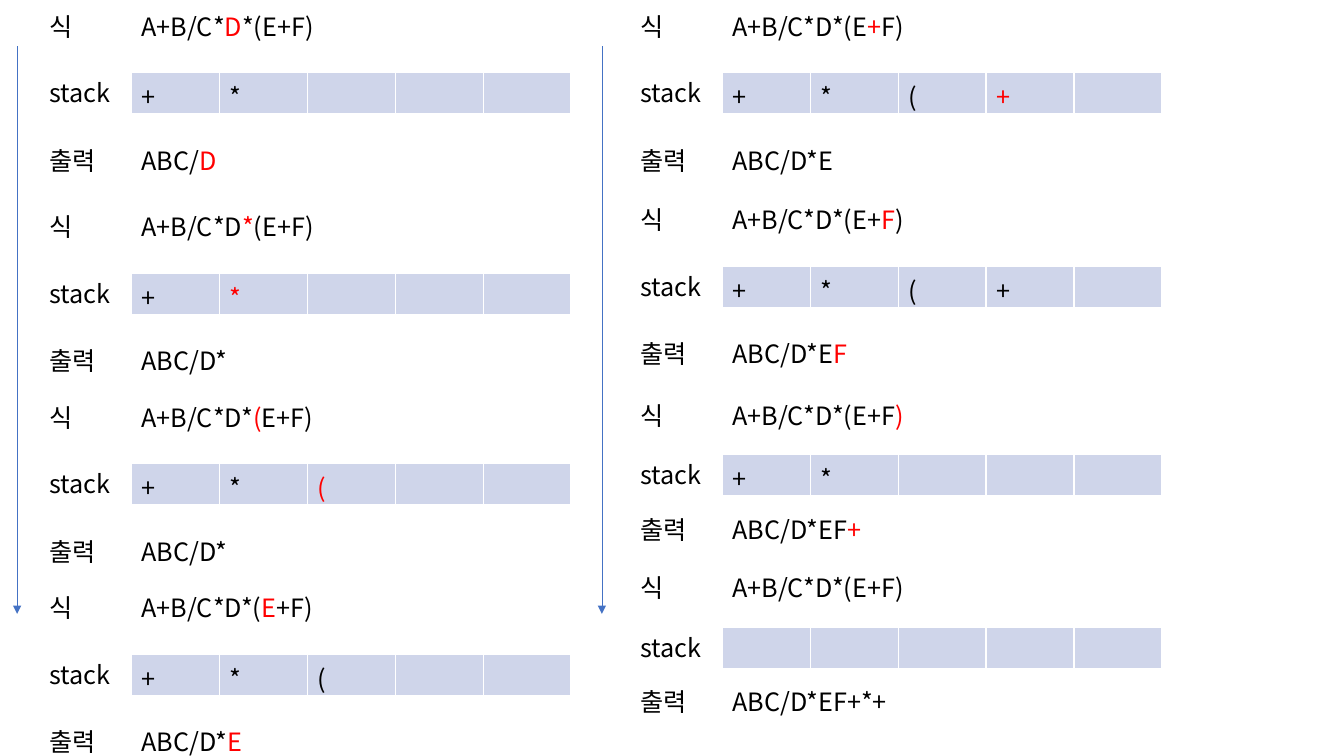
from dataclasses import dataclass

from lxml.etree import SubElement
from pptx import Presentation
from pptx.dml.color import RGBColor
from pptx.enum.shapes import MSO_CONNECTOR
from pptx.enum.text import MSO_AUTO_SIZE
from pptx.oxml.ns import qn
from pptx.util import Inches, Pt


@dataclass(frozen=True)
class Theme:
    """Colours, font and sizes of the slide."""
    text: RGBColor = RGBColor(0, 0, 0)
    current: RGBColor = RGBColor(0xFF, 0, 0)
    cell: RGBColor = RGBColor(0xCF, 0xD5, 0xEA)
    arrow: RGBColor = RGBColor(0x44, 0x72, 0xC4)
    font: str = "Noto Sans CJK KR"
    size: Pt = Pt(18)
    arrow_width: Pt = Pt(0.5)


THEME = Theme()
STACK_SIZE = 5
CELL_WIDTH = 0.872
CELL_HEIGHT = 0.41
LABEL_WIDTH = 0.82
VALUE_WIDTH = 2.99
VALUE_OFFSET = 0.915
WIDE = (0.66, 1.33)
TIGHT = (0.59, 1.13)

LEFT_STEPS = [
    (0.06, WIDE, "A+B/C*[D]*(E+F)", ["+", "*"], "ABC/[D]"),
    (2.05, WIDE, "A+B/C*D[*](E+F)", ["+", "[*]"], "ABC/D*"),
    (3.94, WIDE, "A+B/C*D*[(]E+F)", ["+", "*", "[(]"], "ABC/D*"),
    (5.83, WIDE, "A+B/C*D*([E]+F)", ["+", "*", "("], "ABC/D*[E]"),
]
RIGHT_STEPS = [
    (0.06, WIDE, "A+B/C*D*(E[+]F)", ["+", "*", "(", "[+]"], "ABC/D*E"),
    (1.98, WIDE, "A+B/C*D*(E+[F])", ["+", "*", "(", "+"], "ABC/D*E[F]"),
    (3.92, TIGHT, "A+B/C*D*(E+F[)]", ["+", "*"], "ABC/D*EF[+]"),
    (5.63, TIGHT, "A+B/C*D*(E+F)", [], "ABC/D*EF+*+"),
]


def write_marked(paragraph, marked):
    """Write text, colouring the part in square brackets as current."""
    paragraph.font.size = THEME.size
    paragraph.font.name = THEME.font
    defaults = paragraph._p.pPr.find(qn("a:defRPr"))
    SubElement(defaults, qn("a:ea")).set("typeface", THEME.font)
    for index, part in enumerate(marked.replace("]", "[").split("[")):
        if part:
            run = paragraph.add_run()
            run.text = part
            run.font.color.rgb = THEME.current if index % 2 else THEME.text


def add_text(slide, left, top, width, marked):
    """Add a one-line text box."""
    box = slide.shapes.add_textbox(
        Inches(left), Inches(top), Inches(width), Inches(0.4))
    box.text_frame.word_wrap = True
    box.text_frame.auto_size = MSO_AUTO_SIZE.SHAPE_TO_FIT_TEXT
    write_marked(box.text_frame.paragraphs[0], marked)


def add_stack(slide, left, top, symbols):
    """Add a one-row table holding the stack from bottom to top."""
    table = slide.shapes.add_table(
        1, STACK_SIZE, Inches(left), Inches(top),
        Inches(CELL_WIDTH * STACK_SIZE), Inches(CELL_HEIGHT)).table
    table.first_row = False
    table.horz_banding = False
    for cell in table.iter_cells():
        cell.fill.solid()
        cell.fill.fore_color.rgb = THEME.cell
    for index, symbol in enumerate(symbols):
        paragraph = table.cell(0, index).text_frame.paragraphs[0]
        write_marked(paragraph, symbol)


def add_step(slide, left, step):
    """Add the expression, stack and output of one conversion step."""
    top, (stack_gap, output_gap), expression, symbols, output = step
    value_left = left + VALUE_OFFSET
    stack_top, output_top = top + stack_gap, top + output_gap
    add_text(slide, value_left, top, VALUE_WIDTH, expression)
    add_stack(slide, value_left, stack_top, symbols)
    add_text(slide, value_left, output_top, VALUE_WIDTH, output)
    labels = [("식", top), ("stack", stack_top), ("출력", output_top)]
    for label, label_top in labels:
        add_text(slide, left, label_top, LABEL_WIDTH, label)


def add_down_arrow(slide, left):
    """Add the thin arrow showing the reading order of a column."""
    arrow = slide.shapes.add_connector(
        MSO_CONNECTOR.STRAIGHT, Inches(left), Inches(0.46),
        Inches(left), Inches(6.09))
    arrow.line.color.rgb = THEME.arrow
    arrow.line.width = THEME.arrow_width
    SubElement(arrow.line._ln, qn("a:tailEnd")).set("type", "triangle")
    SubElement(arrow._element.spPr, qn("a:effectLst"))


def main():
    """Build and save the slide."""
    presentation = Presentation()
    presentation.slide_width = Inches(13.33)
    presentation.slide_height = Inches(7.5)
    slide = presentation.slides.add_slide(presentation.slide_layouts[6])
    columns = [(0.17, 0.39, LEFT_STEPS), (5.97, 6.25, RIGHT_STEPS)]
    for arrow_left, left, steps in columns:
        add_down_arrow(slide, arrow_left)
        for step in steps:
            add_step(slide, left, step)
    presentation.save("out.pptx")


if __name__ == "__main__":
    main()
